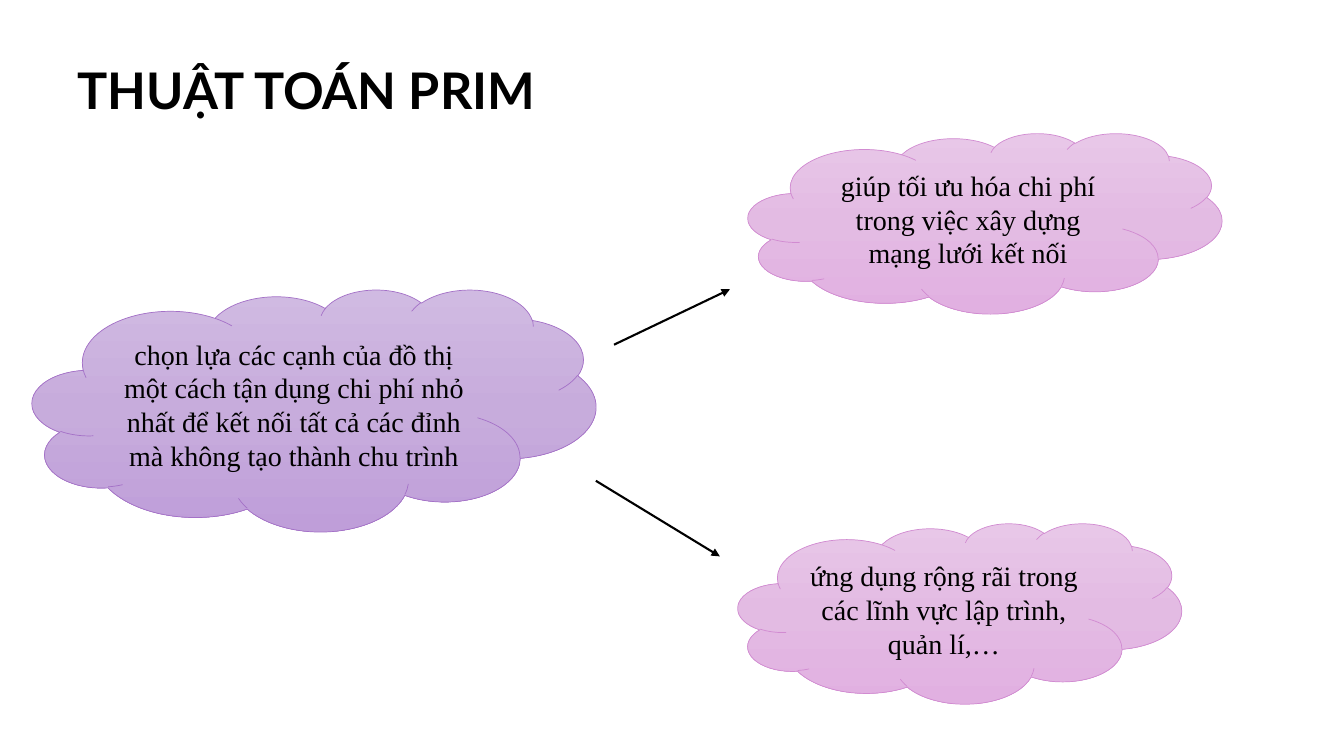
from copy import deepcopy

from lxml.etree import SubElement
from pptx import Presentation
from pptx.dml.color import RGBColor
from pptx.enum.shapes import MSO_CONNECTOR, MSO_SHAPE
from pptx.enum.text import MSO_ANCHOR, PP_ALIGN
from pptx.oxml.ns import qn
from pptx.util import Pt

PX = 9144  # 100 px to the inch
BLACK = RGBColor(0x00, 0x00, 0x00)
PURPLE_LINE = RGBColor(0xA4, 0x71, 0xC7)
PURPLE_STOPS = (
    RGBColor(0xD0, 0xBA, 0xE2),
    RGBColor(0xC7, 0xAC, 0xDC),
    RGBColor(0xBF, 0x9E, 0xD9),
)
PINK_LINE = RGBColor(0xD1, 0x8B, 0xD1)
PINK_STOPS = (
    RGBColor(0xE8, 0xC7, 0xE8),
    RGBColor(0xE3, 0xBB, 0xE3),
    RGBColor(0xE1, 0xB0, 0xE1),
)

ARROWS = [(609, 342, 724, 287), (591, 477, 714, 552)]
CLOUDS = [
    ((32, 287, 559, 240), PURPLE_STOPS, PURPLE_LINE,
     "chọn lựa các cạnh của đồ thị một cách tận dụng chi phí nhỏ nhất "
     "để kết nối tất cả các đỉnh mà không tạo thành chu trình"),
    ((742, 132, 470, 179), PINK_STOPS, PINK_LINE,
     "giúp tối ưu hóa chi phí trong việc xây dựng mạng lưới kết nối"),
    ((732, 519, 440, 179), PINK_STOPS, PINK_LINE,
     "ứng dụng rộng rãi trong các lĩnh vực lập trình, quản lí,…"),
]


def to_emu(lengths):
    return [length * PX for length in lengths]


def write(frame, text, font_name, size, align, anchor):
    frame.text = text
    frame.word_wrap = True
    frame.vertical_anchor = anchor
    paragraph = frame.paragraphs[0]
    paragraph.alignment = align
    font = paragraph.runs[0].font
    font.name = font_name
    font.size = Pt(size)
    font.color.rgb = BLACK
    return paragraph


def place_title(slide, box, text):
    title = slide.shapes.title
    title.left, title.top, title.width, title.height = to_emu(box)
    paragraph = write(title.text_frame, text, "Lato", 36, PP_ALIGN.LEFT, MSO_ANCHOR.TOP)
    paragraph.line_spacing = 0.9
    paragraph.runs[0].font.bold = True


def add_arrow(slide, ends):
    arrow = slide.shapes.add_connector(MSO_CONNECTOR.STRAIGHT, *to_emu(ends))
    arrow.line.color.rgb = BLACK
    arrow.line.width = Pt(1.5)
    SubElement(arrow.line._get_or_add_ln(), qn("a:tailEnd"), type="triangle")
    SubElement(arrow._element.spPr, qn("a:effectLst"))


def fill_downwards(shape, colors):
    """Fill with a three-stop gradient that runs from top to bottom."""
    shape.fill.gradient()
    shape.fill.gradient_angle = 270
    stop_list = shape._element.spPr.find(qn("a:gradFill")).find(qn("a:gsLst"))
    stop_list.insert(1, deepcopy(stop_list[0]))
    for stop, position, color in zip(shape.fill.gradient_stops, (0, 0.5, 1), colors):
        stop.position = position
        stop.color.rgb = color


def add_cloud(slide, box, stops, outline, text):
    cloud = slide.shapes.add_shape(MSO_SHAPE.CLOUD, *to_emu(box))
    cloud.shadow.inherit = False
    fill_downwards(cloud, stops)
    cloud.line.color.rgb = outline
    cloud.line.width = Pt(0.5)
    write(cloud.text_frame, text, "Times New Roman", 20, PP_ALIGN.CENTER, MSO_ANCHOR.MIDDLE)


def main():
    presentation = Presentation()
    presentation.slide_width, presentation.slide_height = to_emu((1333, 750))
    slide = presentation.slides.add_slide(presentation.slide_layouts[5])
    place_title(slide, (67, 60, 1165, 124), "THUẬT TOÁN PRIM")
    for ends in ARROWS:
        add_arrow(slide, ends)
    for cloud in CLOUDS:
        add_cloud(slide, *cloud)
    presentation.save("out.pptx")


if __name__ == "__main__":
    main()
